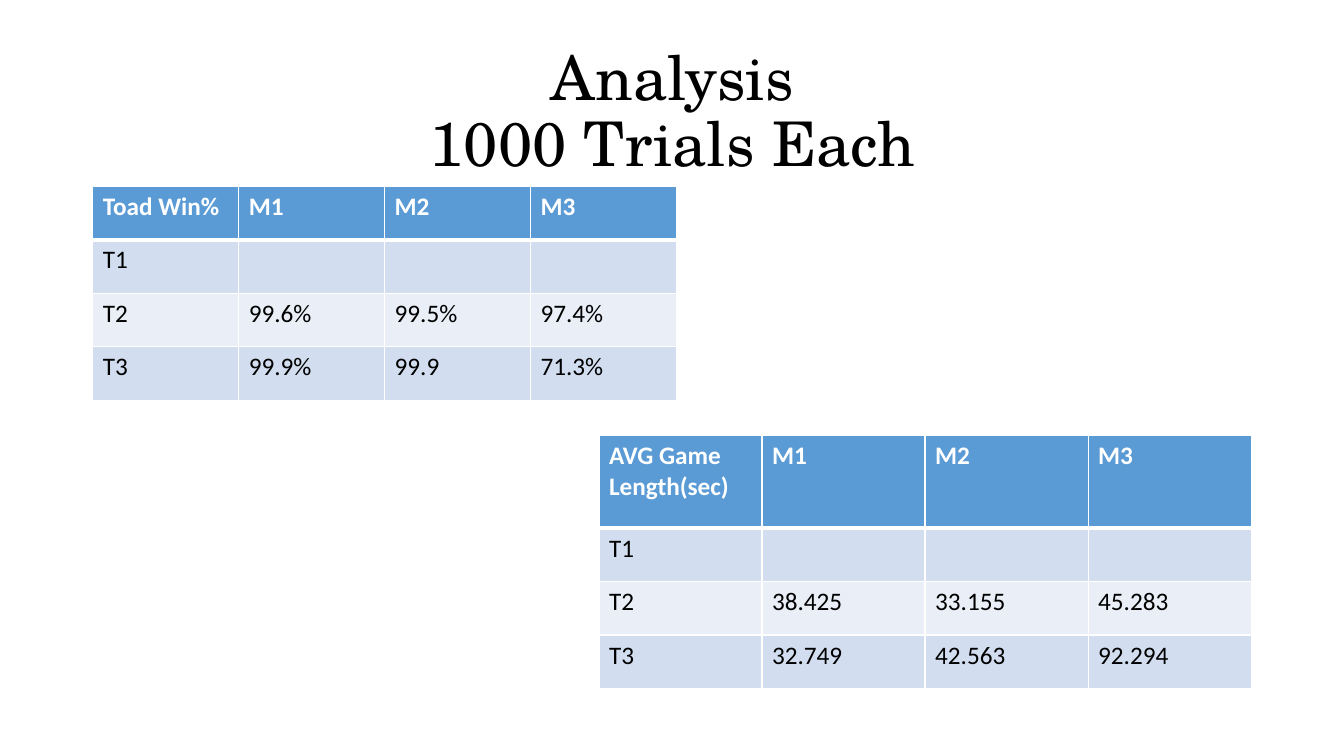
import lxml.etree
import pptx
import pptx.dml.color
import pptx.enum.text
import pptx.oxml.ns
import pptx.util

Inches = pptx.util.Inches
Pt = pptx.util.Pt

HEADER_FILL = "5B9BD5"
BAND_FILLS = ("D2DEEF", "EAEFF7")
WHITE = "FFFFFF"
BLACK = "000000"

WIN_RATES = [
    ("Toad Win%", "M1", "M2", "M3"),
    ("T1", "", "", ""),
    ("T2", "99.6%", "99.5%", "97.4%"),
    ("T3", "99.9%", "99.9", "71.3%"),
]
GAME_LENGTHS = [
    ("AVG Game Length(sec)", "M1", "M2", "M3"),
    ("T1", "", "", ""),
    ("T2", "38.425", "33.155", "45.283"),
    ("T3", "32.749", "42.563", "92.294"),
]


def rgb(value):
    """Turn a hex string into a colour."""
    return pptx.dml.color.RGBColor.from_string(value)


def add_run(p, text, size, font, color, bold=False):
    """Add one formatted run to a paragraph."""
    r = p.add_run()
    r.text = text
    r.font.size = Pt(size)
    r.font.name = font
    r.font.bold = bold
    r.font.color.rgb = rgb(color)


def add_border(cell, side, width):
    """Draw a white border on one side of a cell."""
    qn = pptx.oxml.ns.qn
    tc_pr = cell._tc.get_or_add_tcPr()
    ln = lxml.etree.SubElement(tc_pr, qn(f"a:ln{side}"), w=str(Pt(width)))
    fill = lxml.etree.SubElement(ln, qn("a:solidFill"))
    lxml.etree.SubElement(fill, qn("a:srgbClr"), val=WHITE)


def add_title(s, lines, left, top, width, height):
    """Place the centred title, one run per line."""
    sp = s.shapes.title
    sp.left, sp.top = Inches(left), Inches(top)
    sp.width, sp.height = Inches(width), Inches(height)
    tf = sp.text_frame
    tf.word_wrap = True
    tf.vertical_anchor = pptx.enum.text.MSO_ANCHOR.MIDDLE
    p = tf.paragraphs[0]
    p.alignment = pptx.enum.text.PP_ALIGN.CENTER
    p.line_spacing = 0.9
    for i, line in enumerate(lines):
        if i:
            p.add_line_break()
        add_run(p, line, 44, "TeX Gyre Schola", BLACK)


def fill_cell(cell, text, row):
    """Format one table cell according to its row."""
    header = row == 0
    for side in "LRTB":
        heavy = (row, side) in ((0, "B"), (1, "T"))
        add_border(cell, side, 3 if heavy else 1)
    cell.fill.solid()
    cell.fill.fore_color.rgb = rgb(HEADER_FILL if header else BAND_FILLS[(row - 1) % 2])
    if text:
        p = cell.text_frame.paragraphs[0]
        add_run(p, text, 18, "Calibri", WHITE if header else BLACK, header)


def add_results_table(s, rows, left, top, width, header_height, row_height):
    """Place a banded table with equal columns."""
    heights = [header_height] + [row_height] * (len(rows) - 1)
    columns = len(rows[0])
    table = s.shapes.add_table(
        len(rows), columns, Inches(left), Inches(top), Inches(width), Inches(sum(heights))
    ).table
    for column in table.columns:
        column.width = Inches(width / columns)
    for i, values in enumerate(rows):
        table.rows[i].height = Inches(heights[i])
        for j, text in enumerate(values):
            fill_cell(table.cell(i, j), text, i)


def main():
    """Build the analysis slide and save it."""
    prs = pptx.Presentation()
    prs.slide_width, prs.slide_height = Inches(13.33), Inches(7.5)
    s = prs.slides.add_slide(prs.slide_layouts[5])
    add_title(s, ("Analysis", "1000 Trials Each"), 0.92, 0.4, 11.5, 1.45)
    add_results_table(s, WIN_RATES, 0.92, 1.85, 5.79, 0.53, 0.53)
    add_results_table(s, GAME_LENGTHS, 5.94, 4.32, 6.47, 0.92, 0.53)
    prs.save("out.pptx")


if __name__ == "__main__":
    main()
